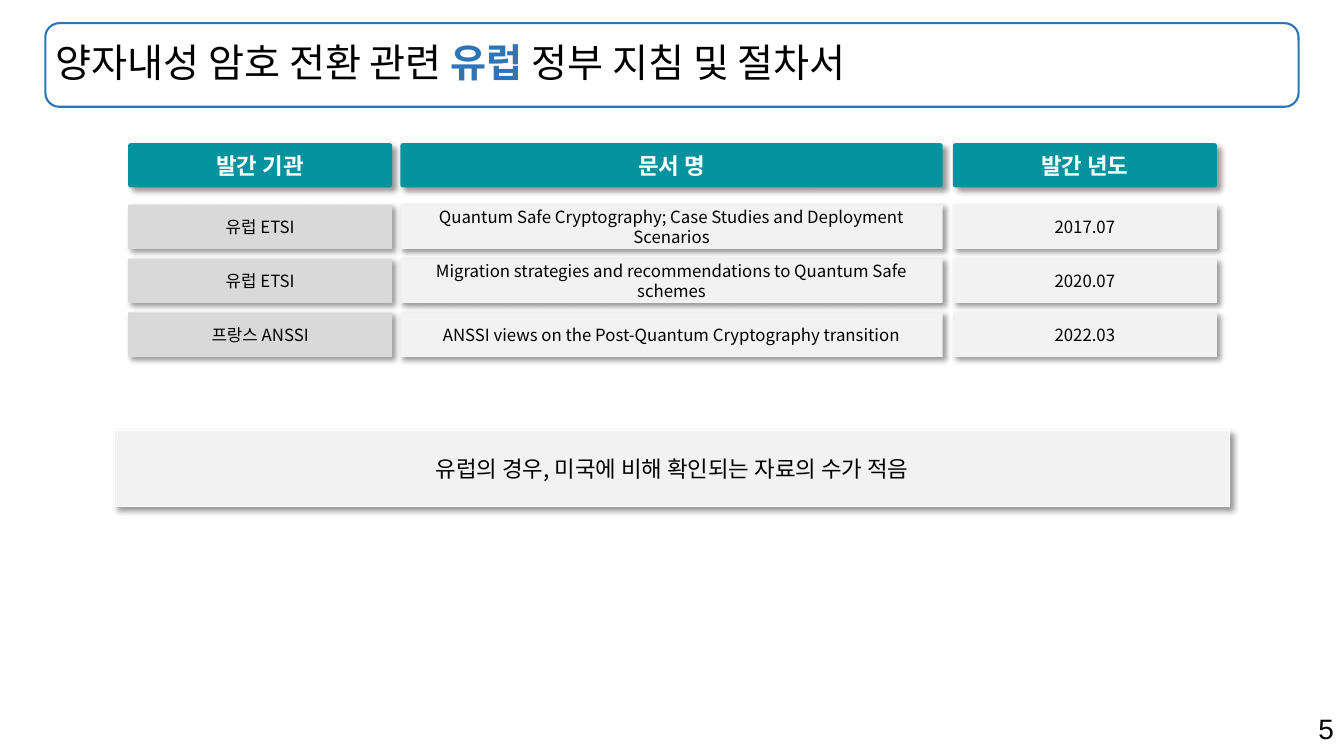
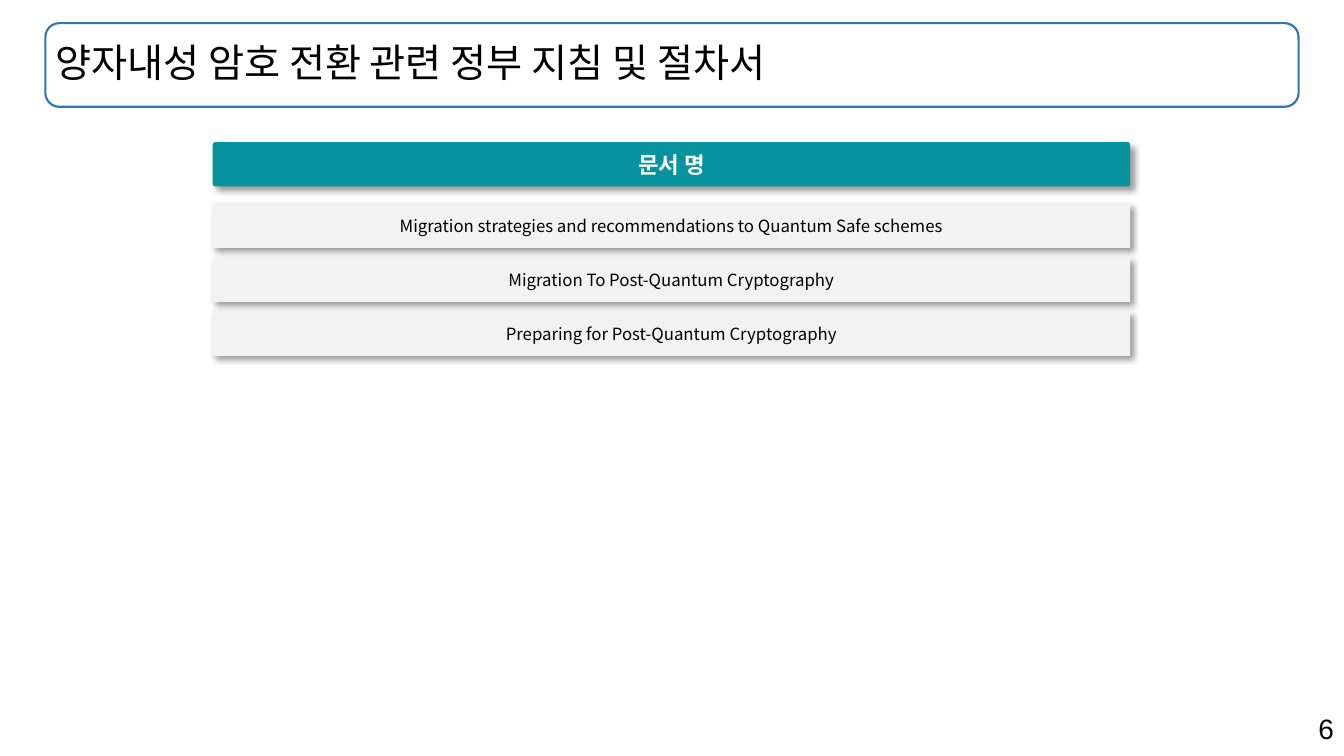
from dataclasses import dataclass

from lxml.etree import SubElement
from pptx import Presentation
from pptx.dml.color import RGBColor
from pptx.enum.shapes import MSO_SHAPE
from pptx.enum.text import MSO_ANCHOR, PP_ALIGN
from pptx.oxml.ns import qn
from pptx.util import Inches, Pt


@dataclass(frozen=True)
class Theme:
    blue: str = "2E75B6"
    teal: str = "06939E"
    gray: str = "D9D9D9"
    light: str = "F2F2F2"
    white: str = "FFFFFF"
    black: str = "000000"
    latin_font: str = "Arial"
    korean_font: str = "Noto Sans CJK KR"
    title_size: int = 28
    number_size: int = 20
    heading_size: int = 16
    body_size: int = 12


THEME = Theme()
CELL_HEIGHT = 0.44
HEADER_PITCH = 0.61
ROW_PITCH = 0.535


def color(code):
    return RGBColor.from_string(code)


def style_span(span, size, font=THEME.korean_font, ink=THEME.black, bold=False):
    span.font.size = Pt(size)
    span.font.name = font
    span.font.bold = bold
    span.font.color.rgb = color(ink)
    east_asian = SubElement(span.font._element, qn("a:ea"))
    east_asian.set("typeface", THEME.korean_font)


def add_panel(page, place, preset=MSO_SHAPE.RECTANGLE, fill=None, line=None, width=0.75):
    """Add a preset shape without shadow; fill and line are optional colours."""
    panel = page.shapes.add_shape(preset, *map(Inches, place))
    panel.shadow.inherit = False
    if fill:
        panel.fill.solid()
        panel.fill.fore_color.rgb = color(fill)
    else:
        panel.fill.background()
    if line:
        panel.line.color.rgb = color(line)
        panel.line.width = Pt(width)
    else:
        panel.line.fill.background()
    panel.text_frame.word_wrap = True
    panel.text_frame.vertical_anchor = MSO_ANCHOR.MIDDLE
    return panel


def add_shadow(panel, distance):
    effects = panel._element.spPr.find(qn("a:effectLst"))
    shadow = SubElement(effects, qn("a:outerShdw"), blurRad=str(Pt(4)),
                        dist=str(Pt(distance)), dir=str(45 * 60000),
                        algn="tl", rotWithShape="0")
    ink = SubElement(shadow, qn("a:srgbClr"), val=THEME.black)
    SubElement(ink, qn("a:alpha"), val="40000")


def write_centered(panel, text, size, **style):
    para = panel.text_frame.paragraphs[0]
    para.text = text
    para.alignment = PP_ALIGN.CENTER
    style_span(para.runs[0], size, **style)


def add_header_cell(page, place, text):
    cell = add_panel(page, place, MSO_SHAPE.ROUNDED_RECTANGLE, THEME.teal)
    cell.adjustments[0] = 0.063
    add_shadow(cell, 4)
    frame = cell.text_frame
    frame.margin_left = frame.margin_right = Inches(0.08)
    write_centered(cell, text, THEME.heading_size, ink=THEME.white, bold=True)


def add_body_cell(page, place, text, fill):
    cell = add_panel(page, place, fill=fill)
    add_shadow(cell, 3)
    write_centered(cell, text, THEME.body_size)


def add_card_grid(page, top, columns, rows):
    """Lay out cards; each column is (left, width, heading, body fill)."""
    for index, (left, width, heading, fill) in enumerate(columns):
        add_header_cell(page, (left, top, width, CELL_HEIGHT), heading)
        for number, row in enumerate(rows):
            row_top = top + HEADER_PITCH + number * ROW_PITCH
            add_body_cell(page, (left, row_top, width, CELL_HEIGHT), row[index], fill)


def add_note(page, text):
    note = add_panel(page, (1.14, 4.27, 11.05, 0.76), fill=THEME.light, line=THEME.white)
    add_shadow(note, 3)
    write_centered(note, text, THEME.heading_size)


def add_title(page, parts):
    """Write the framed title; parts are (text, emphasized) pairs."""
    banner = add_panel(page, (0.45, 0.23, 12.43, 0.83), MSO_SHAPE.ROUNDED_RECTANGLE,
                       line=THEME.blue, width=1.5)
    banner.text_frame.margin_left = Inches(0.06)
    para = banner.text_frame.paragraphs[0]
    para.alignment = PP_ALIGN.LEFT
    para.line_spacing = 0.9
    for text, emphasized in parts:
        span = para.add_run()
        span.text = text
        style_span(span, THEME.title_size, THEME.latin_font,
                   THEME.blue if emphasized else THEME.black, emphasized)


def add_page_number(page, number):
    box = page.shapes.add_textbox(*map(Inches, (9.43, 7.01, 3.9, 0.44)))
    box.text_frame.word_wrap = True
    para = box.text_frame.paragraphs[0]
    para.text = str(number)
    para.alignment = PP_ALIGN.RIGHT
    style_span(para.runs[0], THEME.number_size, THEME.latin_font)


def add_page(deck, number, title_parts):
    page = deck.slides.add_slide(deck.slide_layouts[6])
    add_page_number(page, number)
    add_title(page, title_parts)
    return page


def build_europe_page(deck):
    page = add_page(deck, 5, [("양자내성 암호 전환 관련 ", False), ("유럽", True),
                              (" 정부 지침 및 절차서", False)])
    add_note(page, "유럽의 경우, 미국에 비해 확인되는 자료의 수가 적음")
    columns = [
        (1.27, 2.62, "발간 기관", THEME.gray),
        (3.97, 5.38, "문서 명", THEME.light),
        (9.45, 2.62, "발간 년도", THEME.light),
    ]
    rows = [
        ("유럽 ETSI",
         "Quantum Safe Cryptography; Case Studies and Deployment Scenarios", "2017.07"),
        ("유럽 ETSI",
         "Migration strategies and recommendations to Quantum Safe schemes", "2020.07"),
        ("프랑스 ANSSI",
         "ANSSI views on the Post-Quantum Cryptography transition", "2022.03"),
    ]
    add_card_grid(page, 1.42, columns, rows)


def build_documents_page(deck):
    page = add_page(deck, 6, [("양자내성 암호 전환 관련 정부 지침 및 절차서", False)])
    rows = [
        ("Migration strategies and recommendations to Quantum Safe schemes",),
        ("Migration To Post-Quantum Cryptography",),
        ("Preparing for Post-Quantum Cryptography",),
    ]
    add_card_grid(page, 1.41, [(2.11, 9.1, "문서 명", THEME.light)], rows)


def main():
    deck = Presentation()
    deck.slide_width = Inches(13.33)
    deck.slide_height = Inches(7.5)
    build_europe_page(deck)
    build_documents_page(deck)
    deck.save("out.pptx")


if __name__ == "__main__":
    main()
